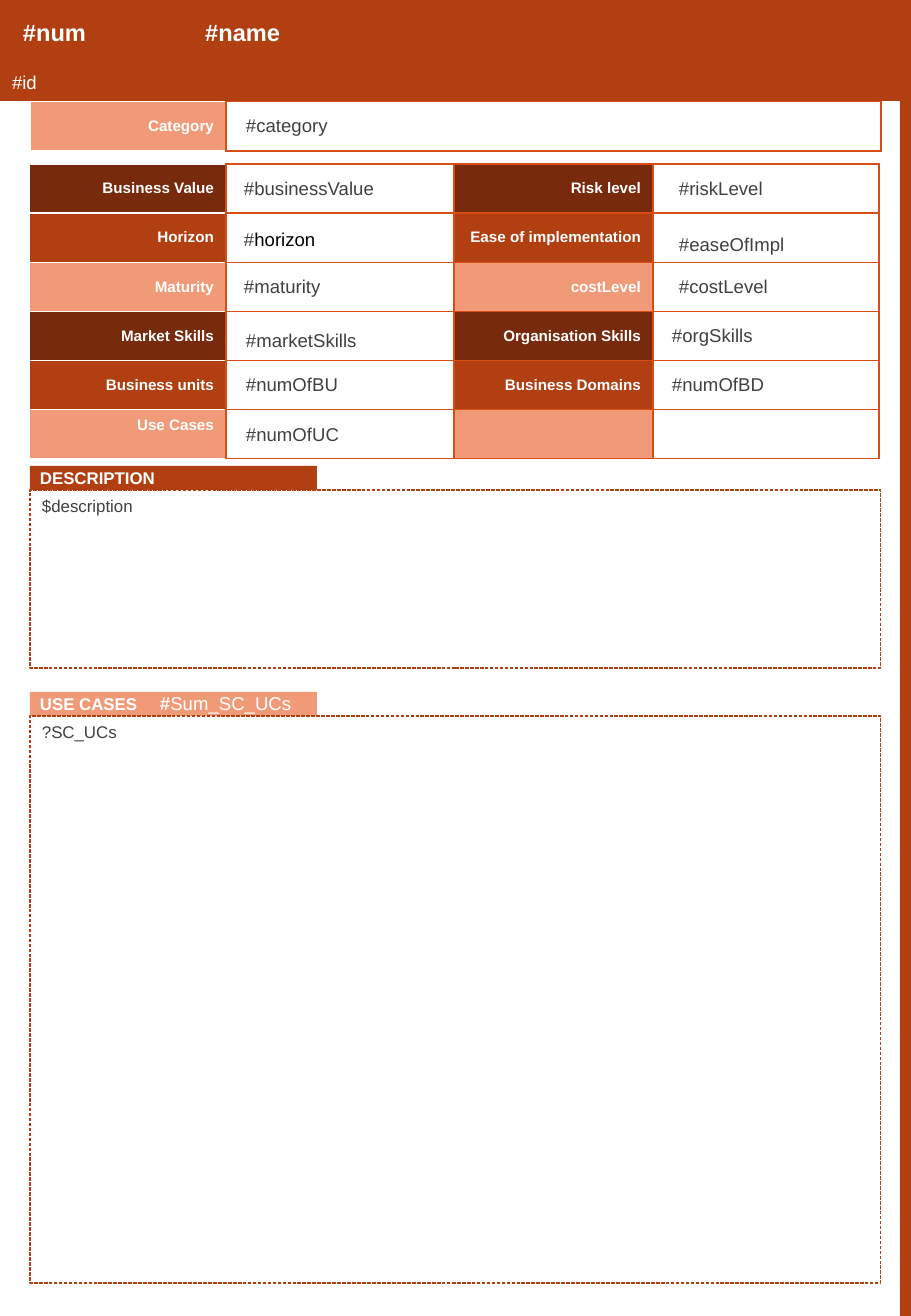
from lxml.etree import SubElement
from pptx import Presentation
from pptx.dml.color import RGBColor
from pptx.enum.dml import MSO_LINE
from pptx.enum.shapes import MSO_SHAPE
from pptx.enum.text import MSO_ANCHOR, MSO_AUTO_SIZE, PP_ALIGN
from pptx.oxml.ns import qn
from pptx.util import Emu, Pt

EMU_PER_PIXEL = 914400 / 121.5
PAGE_WIDTH, PAGE_HEIGHT = 911, 1316
FONT = "Arial"

WHITE = RGBColor(0xFF, 0xFF, 0xFF)
BLACK = RGBColor(0x00, 0x00, 0x00)
GREY = RGBColor(0x40, 0x40, 0x40)
RUST = RGBColor(0xB2, 0x3F, 0x12)
BROWN = RGBColor(0x77, 0x2A, 0x0C)
SALMON = RGBColor(0xF1, 0x9A, 0x78)
ORANGE = RGBColor(0xD8, 0x4D, 0x16)

LABEL_BORDERS = {"L": WHITE, "R": ORANGE, "T": WHITE, "B": WHITE}
GRID_BORDERS = dict.fromkeys("LRTB", ORANGE)

LABEL_ROWS = [
    ("Business Value", "Risk level"),
    ("Horizon", "Ease of implementation"),
    ("Maturity", "costLevel"),
    ("Market Skills", "Organisation Skills"),
    ("Business units", "Business Domains"),
    ("Use Cases", ""),
]

# Text, left, top
VALUES = [
    ("#businessValue", 232, 171), ("#riskLevel", 667, 171),
    ("#easeOfImpl", 667, 227),
    ("#maturity", 232, 269), ("#costLevel", 667, 269),
    ("#marketSkills", 234, 323), ("#orgSkills", 660, 318),
    ("#numOfBU", 234, 367), ("#numOfBD", 660, 367),
    ("#numOfUC", 234, 417),
]


def px(length):
    return Emu(round(length * EMU_PER_PIXEL))


def add_span(para, text, size, color, bold=False):
    span = para.add_run()
    span.text = text
    span.font.name = FONT
    span.font.size = Pt(size)
    span.font.bold = bold
    span.font.color.rgb = color


def fill_solid(item, color):
    item.fill.solid()
    item.fill.fore_color.rgb = color


def add_block(page, left, top, width, height, color, text="", size=10,
              text_color=WHITE, bold=False, anchor=MSO_ANCHOR.TOP, side_inset=12):
    block = page.shapes.add_shape(
        MSO_SHAPE.RECTANGLE, px(left), px(top), px(width), px(height))
    block.shadow.inherit = False
    fill_solid(block, color)
    block.line.fill.background()
    if text:
        frame = block.text_frame
        frame.word_wrap = True
        frame.vertical_anchor = anchor
        frame.margin_left = frame.margin_right = px(side_inset)
        para = frame.paragraphs[0]
        para.alignment = PP_ALIGN.LEFT
        add_span(para, text, size, text_color, bold)
    return block


def add_section(page, top, height, heading, color, body):
    # Dashed body box under a coloured heading tab
    add_block(page, 30, top, 287, 24, color, heading, bold=True,
              anchor=MSO_ANCHOR.MIDDLE, side_inset=10)
    box = add_block(page, 30, top + 24, 851, height, WHITE, body, text_color=GREY)
    box.line.color.rgb = RUST
    box.line.width = Pt(0)
    box.line.dash_style = MSO_LINE.SQUARE_DOT


def add_value(page, left, top, *spans, width=213):
    box = page.shapes.add_textbox(px(left), px(top), px(width), px(35))
    box.text_frame.word_wrap = True
    for text, color, bold in spans:
        add_span(box.text_frame.paragraphs[0], text, 11, color, bold)


def set_borders(cell, borders):
    properties = cell._tc.get_or_add_tcPr()
    for index, (side, color) in enumerate(borders.items()):
        line = SubElement(properties, qn(f"a:ln{side}"), w=str(Pt(1)))
        solid = SubElement(line, qn("a:solidFill"))
        SubElement(solid, qn("a:srgbClr"), val=str(color))
        properties.insert(index, line)


def format_cell(cell, color, borders, label=""):
    fill_solid(cell, color)
    set_borders(cell, borders)
    cell.vertical_anchor = MSO_ANCHOR.MIDDLE
    if label:
        para = cell.text_frame.paragraphs[0]
        para.alignment = PP_ALIGN.RIGHT
        add_span(para, label, 9, WHITE, bold=True)


def add_grid(page, left, top, widths, height, label_rows, colors):
    # Label columns alternate with blank value columns
    grid = page.shapes.add_table(
        len(label_rows), len(widths), px(left), px(top),
        px(sum(widths)), px(height)).table
    grid.first_row = grid.horz_banding = False
    for column, width in zip(grid.columns, widths):
        column.width = px(width)
    for row, labels in enumerate(label_rows):
        for index, label in enumerate(labels):
            borders = GRID_BORDERS if index else LABEL_BORDERS
            color = colors[row % len(colors)]
            format_cell(grid.cell(row, 2 * index), color, borders, label)
            format_cell(grid.cell(row, 2 * index + 1), WHITE, GRID_BORDERS)
    return grid


def add_title(page, text):
    title = page.shapes.title
    title.left, title.top, title.width, title.height = map(px, (193, 12, 657, 41))
    fill_solid(title, RUST)
    frame = title.text_frame
    frame.auto_size = MSO_AUTO_SIZE.NONE
    frame.vertical_anchor = MSO_ANCHOR.TOP
    para = frame.paragraphs[0]
    para.alignment = PP_ALIGN.LEFT
    add_span(para, text, 14, WHITE, bold=True)
    # Bring the title in front of the banner
    page.shapes._spTree.append(title._element)


def main():
    deck = Presentation()
    deck.slide_width, deck.slide_height = px(PAGE_WIDTH), px(PAGE_HEIGHT)
    page = deck.slides.add_slide(deck.slide_layouts[5])

    # Side stripe and category row
    add_block(page, 900, 0, 11, PAGE_HEIGHT, RUST)
    add_grid(page, 30, 101, (196, 655), 50, [("Category",)], [SALMON])

    # Banner
    add_block(page, 0, -1, PAGE_WIDTH, 102, RUST)
    add_title(page, "#name")
    add_block(page, 11, 12, 97, 41, RUST, "#num", 14, bold=True)
    add_block(page, 0, 65, 129, 35, RUST, "#id", 11)

    # Text sections
    add_section(page, 466, 178, "DESCRIPTION", RUST, "$description")
    add_section(page, 692, 567, "USE CASES", SALMON, "?SC_UCs")
    add_value(page, 148, 686, ("#", WHITE, True), ("Sum_SC_UCs", WHITE, False),
              width=169)

    # Ratings grid, its last label raised
    ratings = add_grid(page, 29, 164, (197, 228, 199, 226), 295,
                       LABEL_ROWS, [BROWN, RUST, SALMON])
    ratings.cell(5, 0).margin_bottom = px(24)

    # Values
    add_value(page, 234, 108, ("#category", GREY, False), width=580)
    add_value(page, 232, 222, ("#", GREY, False), ("horizon", BLACK, False))
    for text, left, top in VALUES:
        add_value(page, left, top, (text, GREY, False))

    deck.save("out.pptx")


main()
